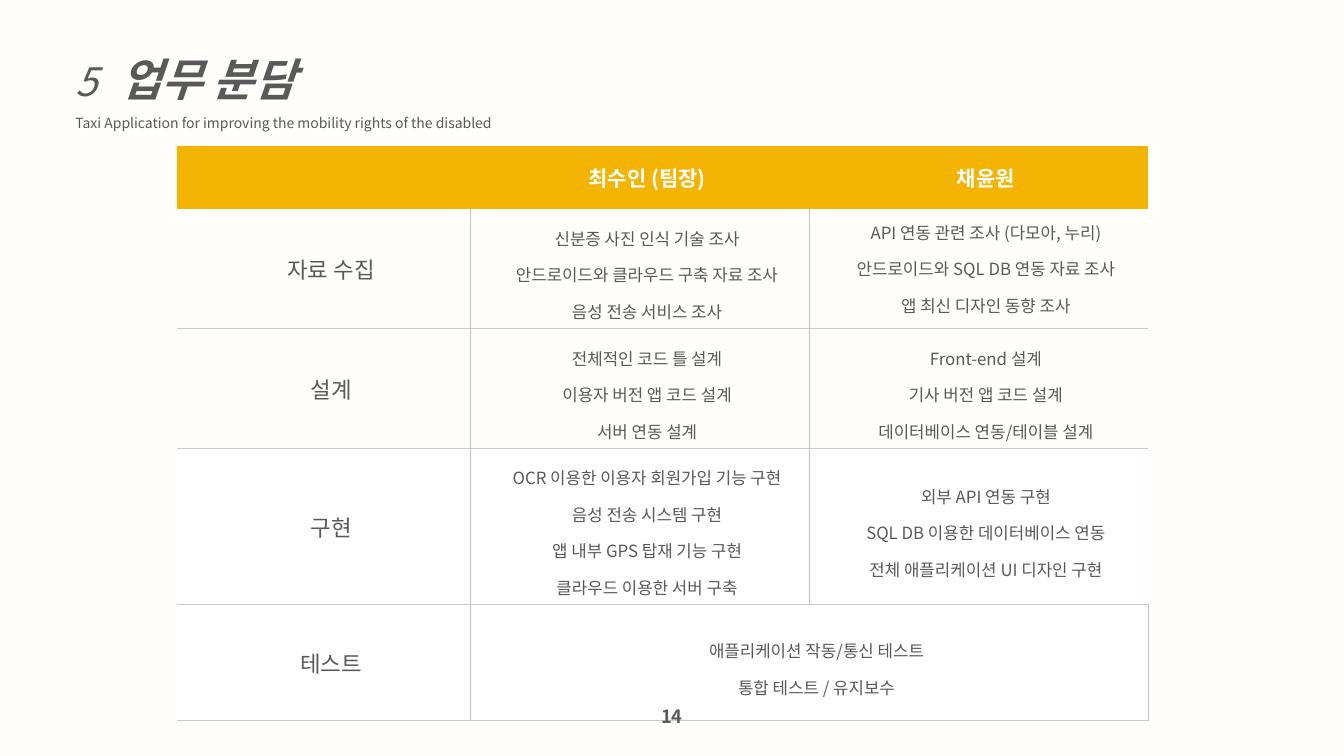
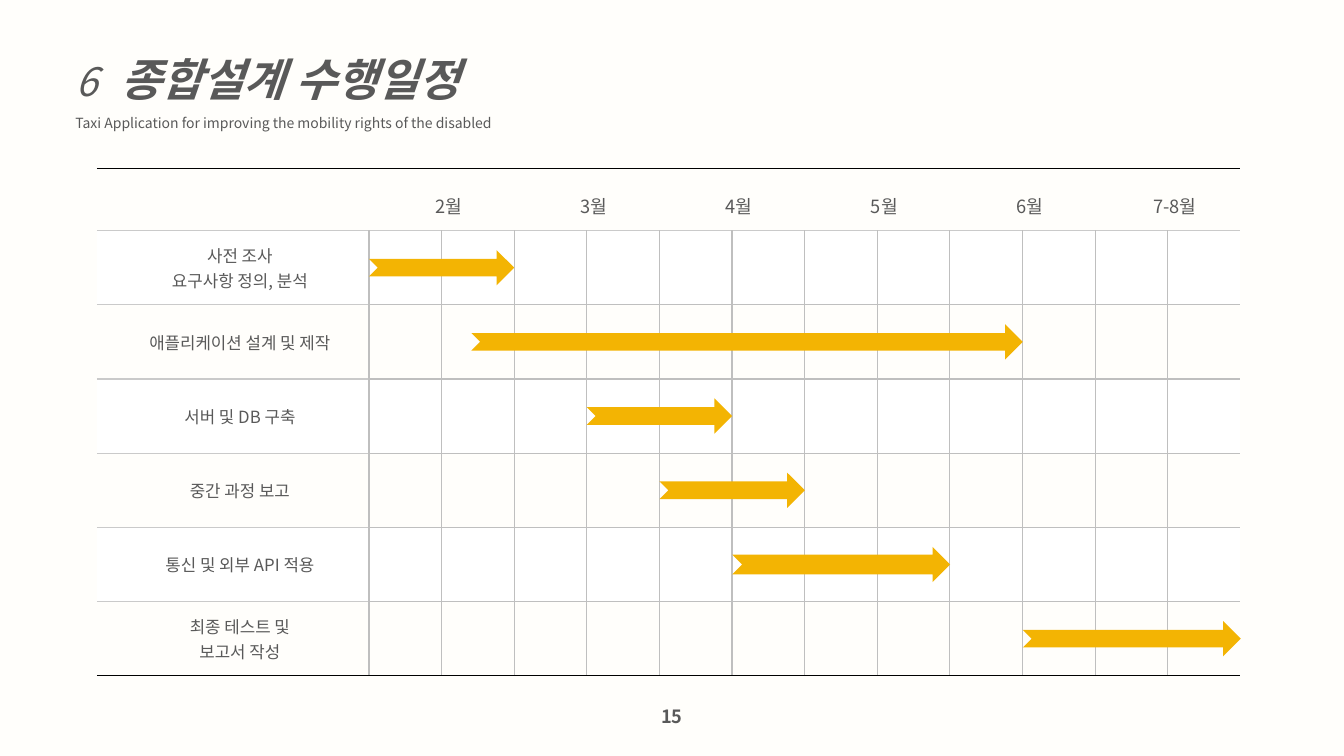
from lxml.etree import SubElement
from pptx import Presentation
from pptx.dml.color import RGBColor
from pptx.enum.shapes import MSO_SHAPE
from pptx.enum.text import MSO_ANCHOR, PP_ALIGN
from pptx.oxml.ns import qn
from pptx.util import Pt

FONT = "Noto Sans CJK KR"
CREAM, WHITE, BLACK = "FFFEFB", "FFFFFF", "000000"
YELLOW, TEXT = "F3B403", "595959"
ROW_LINE, COLUMN_LINE = "CACACA", "BFBFBF"
NO_STYLE = "{2D5ABB26-0587-4C30-8999-92F81FD0307C}"
SUBTITLE = "Taxi Application for improving the mobility rights of the disabled"
hex_color = RGBColor.from_string


def style_paragraph(paragraph, size, color=TEXT, bold=False, spacing=None, centered=True):
    paragraph.alignment = PP_ALIGN.CENTER if centered else PP_ALIGN.LEFT
    if spacing:
        paragraph.line_spacing = spacing
    font = paragraph.font
    font.size, font.bold, font.name = Pt(size), bold, FONT
    font.color.rgb = hex_color(color)
    SubElement(font._element, qn("a:ea"), typeface=FONT)


def fill_cell(cell, text, fill, borders, **text_style):
    cell.margin_left, cell.margin_right = Pt(17.3), Pt(7.2)
    cell.margin_top = cell.margin_bottom = Pt(3.6)
    cell.vertical_anchor = MSO_ANCHOR.MIDDLE
    cell.text = text
    for paragraph in cell.text_frame.paragraphs:
        style_paragraph(paragraph, **text_style)
    properties = cell._tc.get_or_add_tcPr()
    for side in "LRTB":
        if borders.get(side):
            line = SubElement(properties, qn("a:ln" + side), w=str(Pt(1)))
            SubElement(SubElement(line, qn("a:solidFill")), qn("a:srgbClr"), val=borders[side])
    if fill:
        cell.fill.solid()
        cell.fill.fore_color.rgb = hex_color(fill)
    else:
        cell.fill.background()


presentation = Presentation()
presentation.slide_width, presentation.slide_height = Pt(960), Pt(540)
background = presentation.slide_master.background.fill
background.solid()
background.fore_color.rgb = hex_color(CREAM)

duties = [
    ["", "최수인 (팀장)", "채윤원"],
    ["자료 수집",
     "신분증 사진 인식 기술 조사\n안드로이드와 클라우드 구축 자료 조사\n음성 전송 서비스 조사",
     "API 연동 관련 조사 (다모아, 누리)\n안드로이드와 SQL DB 연동 자료 조사\n앱 최신 디자인 동향 조사"],
    ["설계",
     "전체적인 코드 틀 설계\n이용자 버전 앱 코드 설계\n서버 연동 설계",
     "Front-end 설계\n기사 버전 앱 코드 설계\n데이터베이스 연동/테이블 설계"],
    ["구현",
     "OCR 이용한 이용자 회원가입 기능 구현\n음성 전송 시스템 구현\n"
     "앱 내부 GPS 탑재 기능 구현\n클라우드 이용한 서버 구축",
     "외부 API 연동 구현\nSQL DB 이용한 데이터베이스 연동\n전체 애플리케이션 UI 디자인 구현"],
    ["테스트", "애플리케이션 작동/통신 테스트\n통합 테스트 / 유지보수", ""],
]
months = ["2월", "3월", "4월", "5월", "6월", "7-8월"]
tasks = [
    ("사전 조사\n요구사항 정의, 분석", 0, 2),
    ("애플리케이션 설계 및 제작", 1.41, 9),
    ("서버 및 DB 구축", 3, 5),
    ("중간 과정 보고", 4, 6),
    ("통신 및 외부 API 적용", 5, 8),
    ("최종 테스트 및\n보고서 작성", 9, 12),
]
half_month, label_width, task_height = 51.9, 194.4, 53
schedule_left = 69.1

pages = [
    ("5", "업무 분담", "14", (126.7, 104.4), [209.5, 242, 242], [44.6, 82.8, 82.8, 97.9, 82.8]),
    ("6", "종합설계 수행일정", "15", (schedule_left, 120.2),
     [label_width] + [half_month] * 12, [44.6] + [task_height] * 6),
]
slides, tables = [], []
for number, title, page_number, (left, top), widths, heights in pages:
    slide = presentation.slides.add_slide(presentation.slide_layouts[6])
    table = slide.shapes.add_table(
        len(heights), len(widths), Pt(left), Pt(top), Pt(sum(widths)), Pt(sum(heights))).table
    table.first_row = table.horz_banding = False
    table._tbl.tblPr.find(qn("a:tableStyleId")).text = NO_STYLE
    for column, width in zip(table.columns, widths):
        column.width = Pt(width)
    for row, height in zip(table.rows, heights):
        row.height = Pt(height)

    title_box = slide.shapes.add_textbox(Pt(46.8), Pt(14.4), Pt(480), Pt(82))
    title_box.text_frame.word_wrap = True
    heading = title_box.text_frame.paragraphs[0]
    heading.line_spacing = 1.5
    tab_stops = SubElement(heading._p.get_or_add_pPr(), qn("a:tabLst"))
    SubElement(tab_stops, qn("a:tab"), pos=str(Pt(32)), algn="l")
    style_paragraph(heading, 28, centered=False)
    heading.font.italic = True
    heading.add_run().text = number + "\t"
    title_run = heading.add_run()
    title_run.text = title
    title_run.font.size, title_run.font.bold = Pt(32), True
    subtitle = title_box.text_frame.add_paragraph()
    subtitle.text = SUBTITLE
    style_paragraph(subtitle, 10, spacing=1.5, centered=False)

    footer = slide.shapes.add_textbox(0, Pt(500.4), Pt(960), Pt(23))
    footer.text_frame.word_wrap = True
    footer.text_frame.text = page_number
    style_paragraph(footer.text_frame.paragraphs[0], 13, bold=True)
    slides.append(slide)
    tables.append(table)

duty_table, schedule_table = tables

duty_table.cell(4, 1).merge(duty_table.cell(4, 2))
for row, texts in enumerate(duties):
    for column, text in enumerate(texts):
        cell = duty_table.cell(row, column)
        if row == 0:
            fill_cell(cell, text, YELLOW, {}, size=15, color=WHITE, bold=True)
            continue
        borders = {
            "L": COLUMN_LINE if column > 0 else None,
            "R": COLUMN_LINE if column < 2 else None,
            "T": ROW_LINE if row > 1 else None,
            "B": ROW_LINE,
        }
        fill_cell(cell, text, WHITE if row > 2 else None, borders,
                  size=12 if column else 16, spacing=1.5 if column else None)
duty_table.cell(1, 2).text_frame.paragraphs[0].line_spacing = 1.0

for index in range(len(months)):
    schedule_table.cell(0, 1 + 2 * index).merge(schedule_table.cell(0, 2 + 2 * index))
for column in range(13):
    month = months[column // 2] if column % 2 else ""
    fill_cell(schedule_table.cell(0, column), month, None,
              {"T": BLACK, "B": ROW_LINE}, size=13, spacing=1.5)
for row, (task, start, end) in enumerate(tasks, 1):
    for column in range(13):
        borders = {
            "L": COLUMN_LINE if column > 0 else None,
            "R": COLUMN_LINE if column < 12 else None,
            "T": COLUMN_LINE if column and row > 1 else ROW_LINE,
            "B": BLACK if row == len(tasks) else COLUMN_LINE if column else ROW_LINE,
        }
        fill_cell(schedule_table.cell(row, column), "" if column else task,
                  WHITE if row % 2 else None, borders, size=12)
    arrow = slides[1].shapes.add_shape(
        MSO_SHAPE.NOTCHED_RIGHT_ARROW,
        Pt(schedule_left + label_width + start * half_month), Pt(178.6 + (row - 1) * task_height),
        Pt((end - start) * half_month), Pt(25.2))
    arrow.shadow.inherit = False
    arrow.fill.solid()
    arrow.fill.fore_color.rgb = hex_color(YELLOW)
    arrow.line.fill.background()
    if row == 5:
        arrow.adjustments[0] = 0.56

presentation.save("out.pptx")
